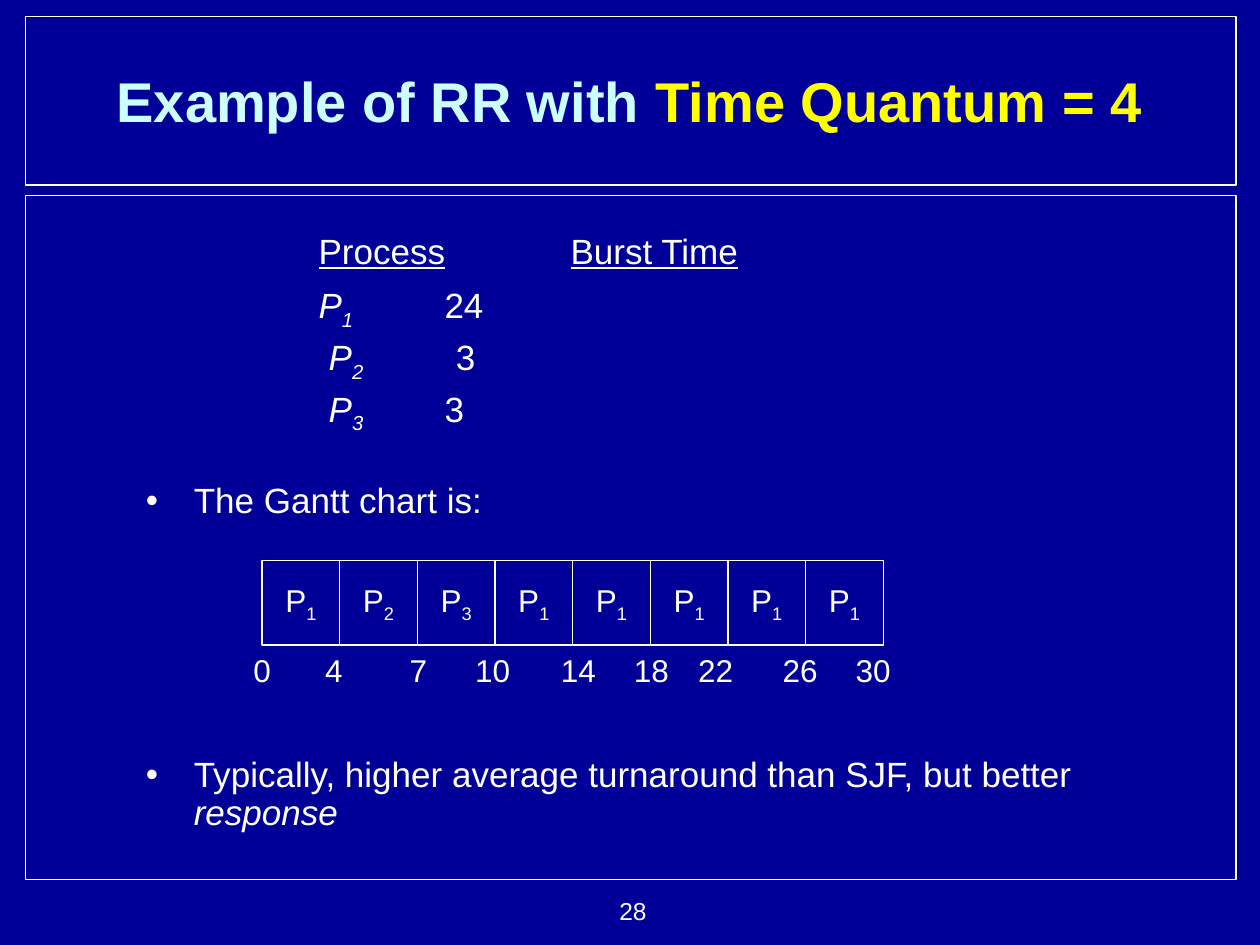
from lxml import etree
from pptx import Presentation
from pptx.dml.color import RGBColor
from pptx.enum.shapes import MSO_SHAPE
from pptx.enum.text import MSO_ANCHOR, MSO_AUTO_SIZE, PP_ALIGN
from pptx.oxml.ns import qn
from pptx.util import Inches, Pt

NAVY = RGBColor(0x00, 0x00, 0x99)
WHITE = RGBColor(0xFF, 0xFF, 0xFF)
ICE = RGBColor(0xCC, 0xFF, 0xFF)
YELLOW = RGBColor(0xFF, 0xFF, 0x00)
RECT = MSO_SHAPE.RECTANGLE
LEFT, MID, RIGHT = PP_ALIGN.LEFT, PP_ALIGN.CENTER, PP_ALIGN.RIGHT
CENTER = MSO_ANCHOR.MIDDLE
FIXED = MSO_AUTO_SIZE.NONE


class Deck:
    font = "Arial"

    def __init__(self):
        self.prs = Presentation()
        self.prs.slide_width, self.prs.slide_height = Inches(10), Inches(7.5)
        self.slide = self.prs.slides.add_slide(self.prs.slide_layouts[5])
        fill = self.slide.background.fill
        fill.solid()
        fill.fore_color.rgb = NAVY

    def run(self, para, text, size, style="", color=WHITE):
        """Add a run; style letters are b(old), i(talic), u(nderline), s(ubscript)."""
        run = para.add_run()
        run.text = text
        font = run.font
        font.name, font.size = self.font, Pt(size)
        font.color.rgb = color
        font.bold, font.italic = "b" in style, "i" in style
        font.underline = "u" in style
        if "s" in style:
            run._r.get_or_add_rPr().set("baseline", "-25000")

    def title(self, x, y, w, h, parts):
        shape = self.slide.shapes.title
        shape.left, shape.top = Inches(x), Inches(y)
        shape.width, shape.height = Inches(w), Inches(h)
        frame = shape.text_frame
        frame.auto_size, frame.vertical_anchor = FIXED, CENTER
        para = frame.paragraphs[0]
        para.alignment = MID
        for text, color in parts:
            self.run(para, text, 32, "b", color)

    def rect(self, x, y, w, h, fill=None):
        shape = self.slide.shapes.add_shape(
            RECT, Inches(x), Inches(y), Inches(w), Inches(h))
        shape.shadow.inherit = False
        if fill is None:
            shape.fill.background()
        else:
            shape.fill.solid()
            shape.fill.fore_color.rgb = fill
        shape.line.color.rgb = WHITE
        shape.line.width = Pt(0.75)
        return shape

    def cell(self, x, y, w, h, index):
        frame = self.rect(x, y, w, h, NAVY).text_frame
        frame.word_wrap, frame.vertical_anchor = False, CENTER
        para = frame.paragraphs[0]
        para.alignment = MID
        self.run(para, "P", 18)
        self.run(para, index, 18, "s")

    def box(self, x, y, w, h):
        frame = self.slide.shapes.add_textbox(
            Inches(x), Inches(y), Inches(w), Inches(h)).text_frame
        frame.word_wrap = True
        return frame

    def label(self, x, y, w, h, text, size, align):
        frame = self.box(x, y, w, h)
        frame.vertical_anchor = CENTER
        frame.paragraphs[0].alignment = align
        self.run(frame.paragraphs[0], text, size)

    def line(self, para, runs, before, tabs=()):
        """Fill a body paragraph; one without tab stops gets a bullet."""
        props = para._p.get_or_add_pPr()
        if tabs:
            stops = etree.SubElement(props, qn("a:tabLst"))
            for pos in tabs:
                etree.SubElement(stops, qn("a:tab"), pos=str(Inches(pos)), algn="l")
        else:
            props.set("marL", str(Inches(0.38)))
            props.set("indent", str(-Inches(0.38)))
            etree.SubElement(props, qn("a:buFont"), typeface=self.font)
            etree.SubElement(props, qn("a:buChar"), char="•")
        para.alignment, para.line_spacing = LEFT, 0.9
        para.space_before = Pt(before)
        for text, style in runs:
            self.run(para, text, 20, style)


def proc(index, burst):
    return [("\tP", "i"), (index, "is"), ("\t" + burst, "")]


def main():
    deck = Deck()
    deck.rect(0.2, 0.13, 9.61, 1.34)
    deck.rect(0.2, 1.55, 9.61, 5.43)
    deck.label(4.19, 7.06, 1.04, 0.34, "28", 14, RIGHT)
    deck.title(0.35, 0.17, 9.29, 1.25,
               [("Example of RR with ", ICE), ("Time Quantum = 4", YELLOW)])

    head = [("\t", ""), ("Process", "u"), ("\t", ""), ("Burst Time", "u")]
    gantt = [("The Gantt chart is:", "")]
    note = [("Typically, higher average turnaround than SJF, but better ", ""),
            ("response", "i")]
    lines = [
        (head, 0, (1.37, 3.37)),
        (proc("1", "24"), 7, (1.37, 2.37)),
        (proc("2", "3"), 5, (1.45, 2.46)),
        (proc("3", "3"), 5, (1.45, 2.37)),
        (gantt, 30, ()),
        (note, 135, ()),
    ]
    body = deck.box(1.06, 1.81, 8.04, 4.9)
    for i, (runs, before, tabs) in enumerate(lines):
        para = body.add_paragraph() if i else body.paragraphs[0]
        deck.line(para, runs, before, tabs)

    step = 4.93 / 8
    for i, index in enumerate("12311111"):
        deck.cell(2.08 + i * step, 4.45, step, 0.67, index)

    times = {"0": 2.08, "4": 2.65, "7": 3.32, "10": 3.91, "14": 4.59,
             "18": 5.17, "22": 5.68, "26": 6.35, "30": 6.93}
    for text, mid in times.items():
        wide = 0.34 if len(text) == 1 else 0.48
        deck.label(mid - wide / 2, 5.12, wide, 0.4, text, 18, MID)

    deck.prs.save("out.pptx")


if __name__ == "__main__":
    main()
